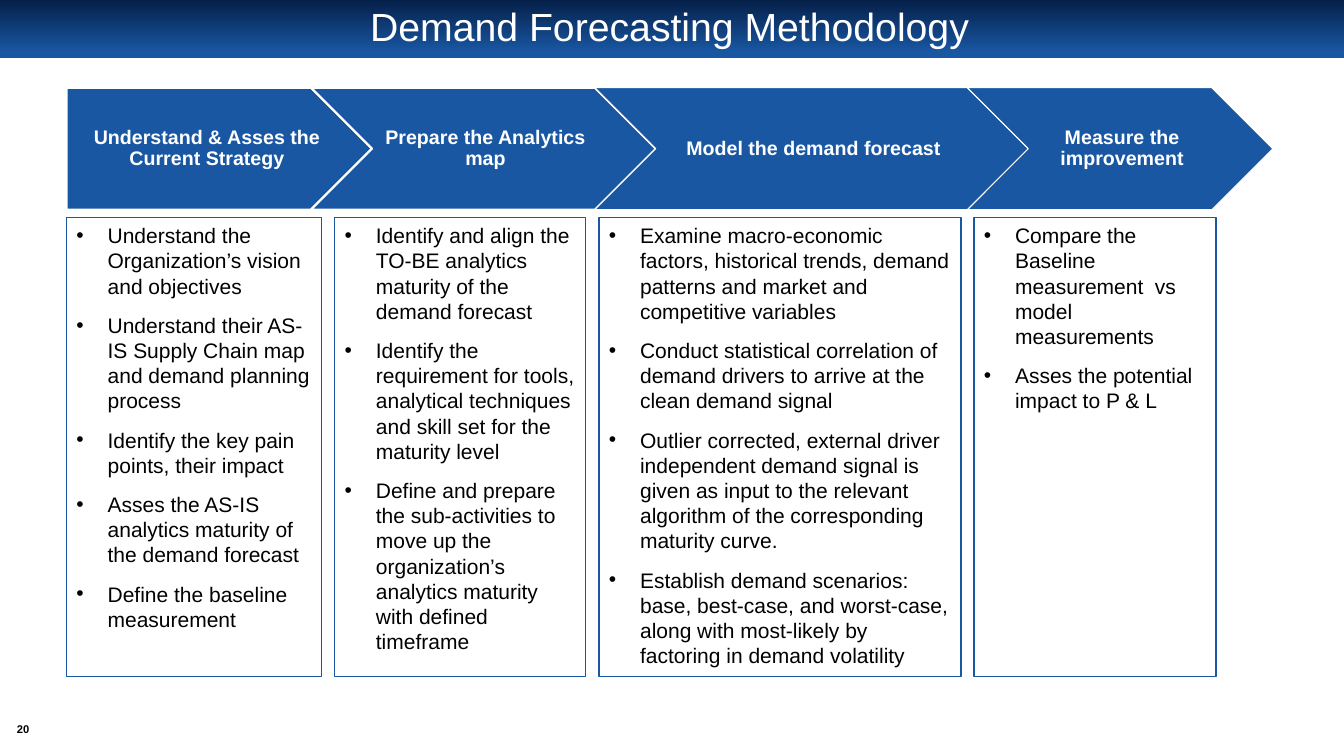
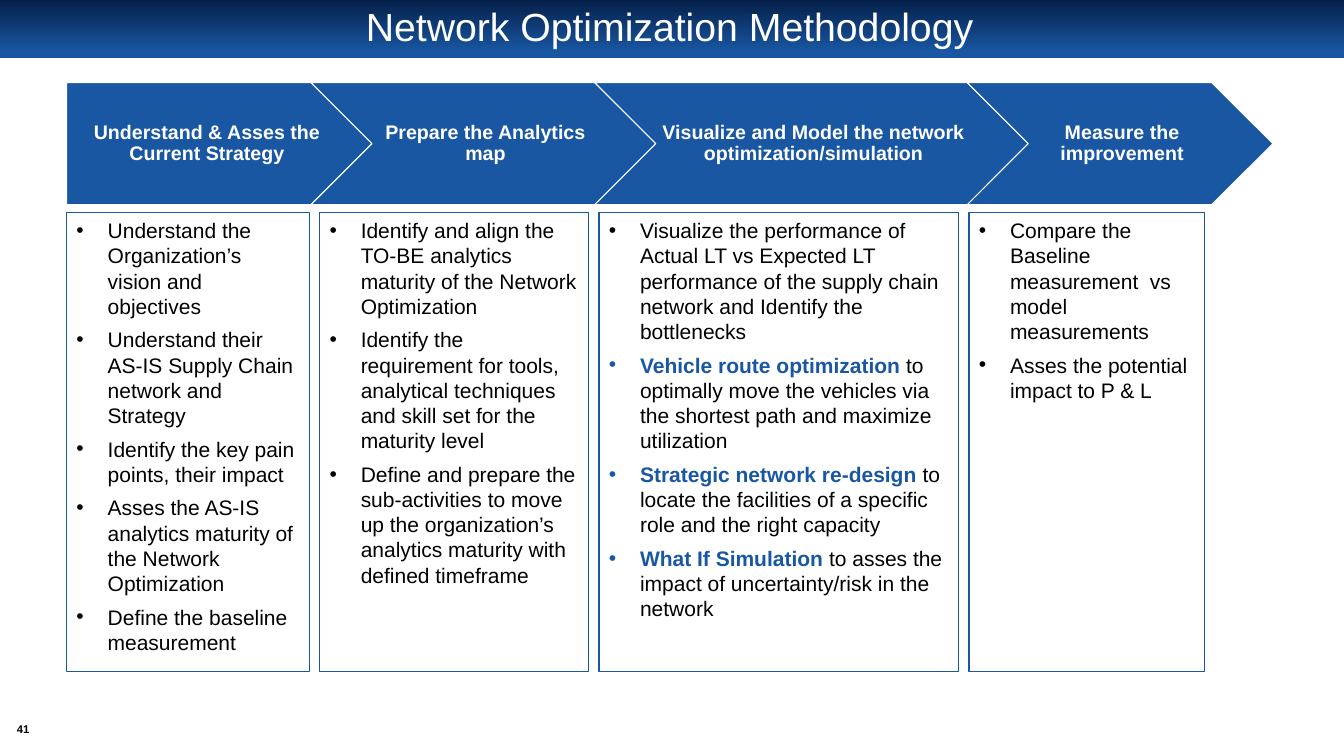
from lxml import etree
from pptx import Presentation
from pptx.dml.color import RGBColor
from pptx.enum import shapes, text
from pptx.oxml import ns
from pptx.util import Inches, Pt

BLUE, NAVY, WHITE, BLACK = "1957A3", "052049", "FFFFFF", "000000"
FONT = "Arial"
MARGIN = 0.66
ARROW_WIDTHS = [3.03, 3.42, 4.3, 3.03]
ARROW_HEIGHT = 1.21
ARROW_OVERLAP = ARROW_HEIGHT / 2  # depth of a default arrow point
CARD_DROP, CARD_HEIGHT = 0.08, 4.55
BULLET_INDENT = 0.31

color = RGBColor.from_string


def paint(shape, fill, line, weight):
    shape.shadow.inherit = False
    shape.fill.solid()
    shape.fill.fore_color.rgb = color(fill)
    shape.line.color.rgb = color(line)
    shape.line.width = Pt(weight)


def write(para, words, size, ink, bold=False):
    span = para.add_run()
    span.text = words
    span.font.name = FONT
    span.font.size = Pt(size)
    span.font.bold = bold
    span.font.color.rgb = color(ink)


VISION = "Understand the Organization’s vision and objectives"
PAIN_POINTS = "Identify the key pain points, their impact"
BASELINE = "Define the baseline measurement"
TOOLS = ("Identify the requirement for tools, analytical techniques "
         "and skill set for the maturity level")
SUB_ACTIVITIES = ("Define and prepare the sub-activities to move up the organization’s "
                  "analytics maturity with defined timeframe")
IMPROVEMENT = ["Compare the Baseline measurement  vs model measurements",
               "Asses the potential impact to P & L"]

# In a bullet, the words before "|" are emphasised.
methods = [
    dict(title="Demand Forecasting Methodology", number="20", top=0.87,
         model="Model the demand forecast", outlines=[1.5, 1.5, 0.75, 0.75],
         card_widths=[2.53, 2.49, 3.59, 2.4], gap=0.13, spacing=10,
         cards=[
             [VISION,
              "Understand their AS-IS Supply Chain map and demand planning process",
              PAIN_POINTS,
              "Asses the AS-IS analytics maturity of the demand forecast",
              BASELINE],
             ["Identify and align the TO-BE analytics maturity of the demand forecast",
              TOOLS, SUB_ACTIVITIES],
             ["Examine macro-economic factors, historical trends, demand patterns "
              "and market and competitive variables",
              "Conduct statistical correlation of demand drivers to arrive at the "
              "clean demand signal",
              "Outlier corrected, external driver independent demand signal is given "
              "as input to the relevant algorithm of the corresponding maturity curve.",
              "Establish demand scenarios: base, best-case, and worst-case, along with "
              "most-likely by factoring in demand volatility"],
             IMPROVEMENT]),
    dict(title="Network Optimization Methodology", number="41", top=0.82,
         model="Visualize and Model the network optimization/simulation",
         outlines=[0.75] * 4,
         card_widths=[2.41, 2.67, 3.57, 2.34], gap=0.1, spacing=6,
         cards=[
             [VISION,
              "Understand their AS-IS Supply Chain network and Strategy",
              PAIN_POINTS,
              "Asses the AS-IS analytics maturity of the Network Optimization",
              BASELINE],
             ["Identify and align the TO-BE analytics maturity of the Network Optimization",
              TOOLS, SUB_ACTIVITIES],
             ["Visualize the performance of Actual LT vs Expected LT performance of the "
              "supply chain network and Identify the bottlenecks",
              "Vehicle route optimization |to optimally move the vehicles via the "
              "shortest path and maximize utilization",
              "Strategic network re-design |to locate the facilities of a specific "
              "role and the right capacity",
              "What If Simulation |to asses the impact of uncertainty/risk in the network"],
             IMPROVEMENT]),
]

deck = Presentation()
deck.slide_width, deck.slide_height = Inches(13.33), Inches(7.5)
layout = deck.slide_layouts[5]
heading = layout.placeholders[0]
heading.left, heading.top = Inches(MARGIN), Inches(0.06)
heading.width, heading.height = Inches(11.96), Inches(0.45)

pages = [deck.slides.add_slide(layout) for method in methods]

# The band is drawn once and then moved to the layout, behind every title.
band = pages[0].shapes.add_shape(
    shapes.MSO_SHAPE.RECTANGLE, 0, 0, deck.slide_width, Inches(0.58))
band.shadow.inherit = False
band.line.fill.background()
band.fill.gradient()
band.fill.gradient_angle = 270
for stop, ink, position in zip(band.fill.gradient_stops, [NAVY, BLUE], [0, 0.9]):
    stop.color.rgb = color(ink)
    stop.position = position
layout.shapes.element.insert(2, band.element)

for page, method in zip(pages, methods):
    title = page.shapes.title.text_frame
    title.vertical_anchor = text.MSO_ANCHOR.MIDDLE
    para = title.paragraphs[0]
    para.alignment = text.PP_ALIGN.CENTER
    para.line_spacing = 0.9
    write(para, method["title"], 28, WHITE)

    number = page.shapes.add_textbox(
        Inches(0.08), Inches(7.14), Inches(0.3), Inches(0.19)).text_frame
    number.margin_left = number.margin_right = number.margin_top = number.margin_bottom = 0
    number.vertical_anchor = text.MSO_ANCHOR.MIDDLE
    number.paragraphs[0].alignment = text.PP_ALIGN.CENTER
    write(number.paragraphs[0], method["number"], 8, BLACK, True)

    steps = ["Understand & Asses the Current Strategy", "Prepare the Analytics map",
             method["model"], "Measure the improvement"]
    left = MARGIN
    for index, (step, width, outline) in enumerate(
            zip(steps, ARROW_WIDTHS, method["outlines"])):
        kind = shapes.MSO_SHAPE.CHEVRON if index else shapes.MSO_SHAPE.PENTAGON
        arrow = page.shapes.add_shape(
            kind, Inches(left), Inches(method["top"]), Inches(width), Inches(ARROW_HEIGHT))
        paint(arrow, BLUE, WHITE, outline)
        label = arrow.text_frame
        label.word_wrap = True
        label.vertical_anchor = text.MSO_ANCHOR.MIDDLE
        label.margin_left = Inches(0.06 if index else 0.08)
        label.margin_right = Inches(0.02)
        label.margin_top = label.margin_bottom = Inches(0.04)
        para = label.paragraphs[0]
        para.alignment = text.PP_ALIGN.CENTER
        para.line_spacing = 0.9
        write(para, step, 14, WHITE, True)
        left += width - ARROW_OVERLAP

    left = MARGIN
    card_top = method["top"] + ARROW_HEIGHT + CARD_DROP
    for bullets, width in zip(method["cards"], method["card_widths"]):
        card = page.shapes.add_shape(
            shapes.MSO_SHAPE.RECTANGLE, Inches(left), Inches(card_top),
            Inches(width), Inches(CARD_HEIGHT))
        paint(card, WHITE, BLUE, 1)
        box = card.text_frame
        box.word_wrap = True
        box.vertical_anchor = text.MSO_ANCHOR.TOP
        for index, bullet in enumerate(bullets):
            para = box.add_paragraph() if index else box.paragraphs[0]
            para.alignment = text.PP_ALIGN.LEFT
            para.space_after = Pt(method["spacing"])
            props = para._p.get_or_add_pPr()
            props.set("marL", str(Inches(BULLET_INDENT)))
            props.set("indent", str(-Inches(BULLET_INDENT)))
            etree.SubElement(props, ns.qn("a:buFont")).set("typeface", FONT)
            etree.SubElement(props, ns.qn("a:buChar")).set("char", "•")
            *lead, rest = bullet.split("|")
            for words in lead:
                write(para, words, 15, BLUE, True)
            write(para, rest, 15, BLACK)
        left += width + method["gap"]

deck.save("out.pptx")
